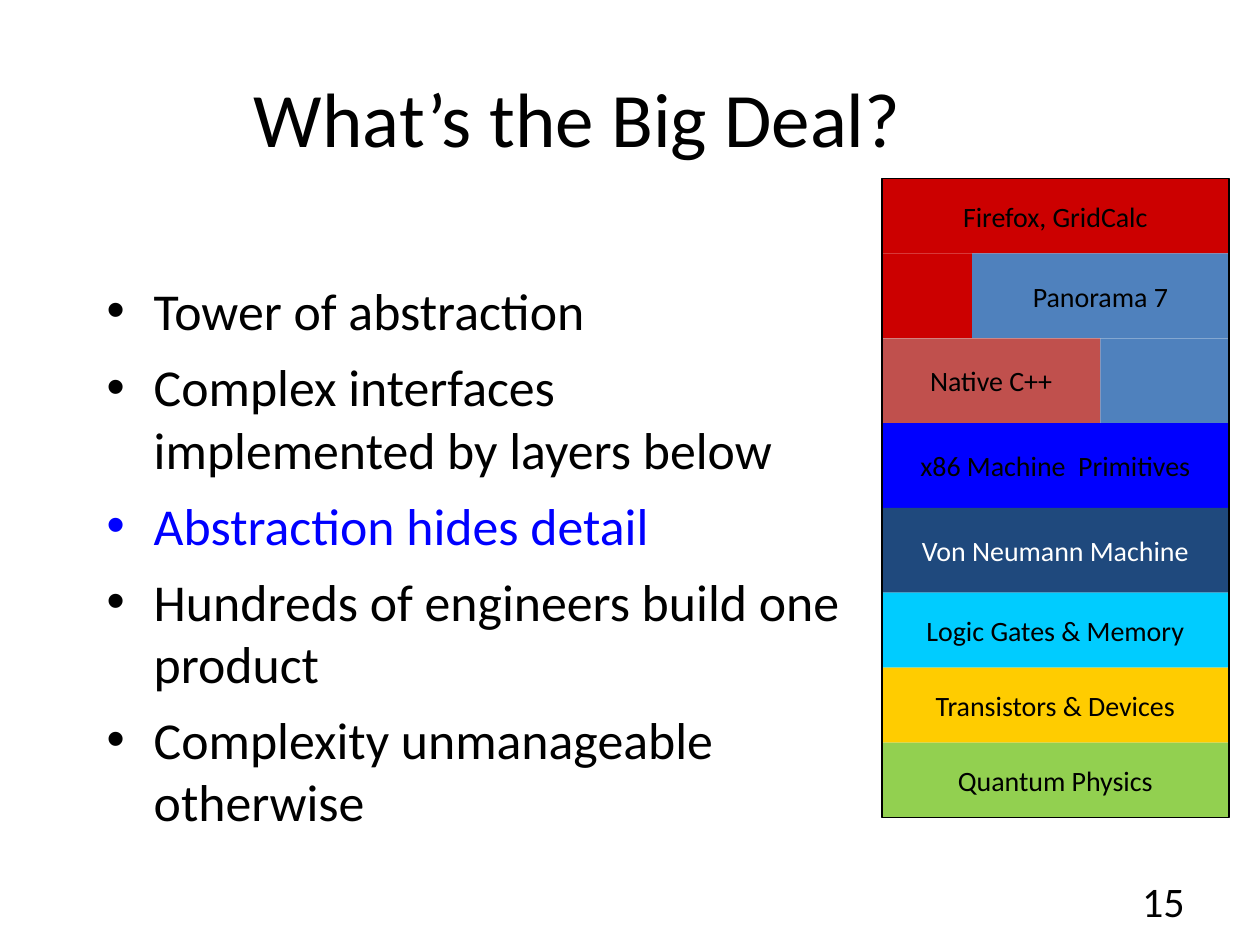
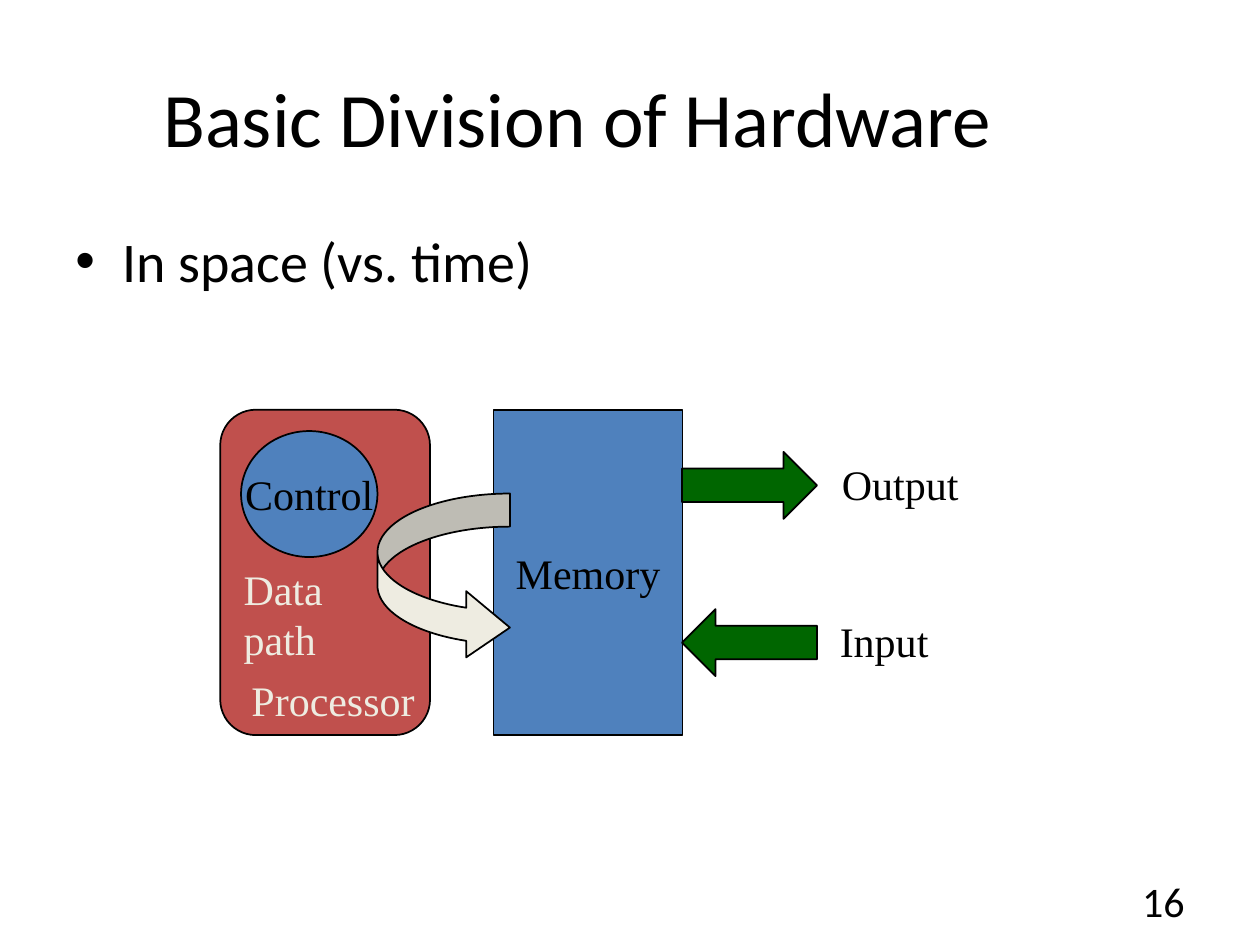
from lxml import etree
from pptx import Presentation
from pptx.dml.color import RGBColor
from pptx.enum.shapes import MSO_SHAPE
from pptx.enum.text import MSO_ANCHOR, PP_ALIGN
from pptx.oxml.ns import qn
from pptx.util import Cm, Pt

RECT = MSO_SHAPE.RECTANGLE
ROUNDED = MSO_SHAPE.ROUNDED_RECTANGLE
OVAL = MSO_SHAPE.OVAL
RIGHT_ARROW = MSO_SHAPE.RIGHT_ARROW
LEFT_ARROW = MSO_SHAPE.LEFT_ARROW
CURVED_ARROW = MSO_SHAPE.CURVED_RIGHT_ARROW
MIDDLE, TOP = MSO_ANCHOR.MIDDLE, MSO_ANCHOR.TOP
LEFT, CENTER, RIGHT = PP_ALIGN.LEFT, PP_ALIGN.CENTER, PP_ALIGN.RIGHT

SANS, SERIF = "Calibri", "Times New Roman"
BLACK, WHITE, CREAM = "000000", "FFFFFF", "EEECE1"
BLUE, STEEL, NAVY = "0000FF", "4F81BD", "1F497D"
RED, BRICK, GREEN = "CC0000", "C0504D", "006600"

TITLE_BOX = (1.27, 0.76, 20.75, 3.18)
NUMBER_BOX = (21.16, 17.65, 2.97, 1.02)

TOWER = [
    (1.51, [(1, "Firefox, GridCalc", RED, BLACK)]),
    (1.71, [(0.26, "", RED, BLACK), (0.74, "Panorama 7", STEEL, BLACK)]),
    (1.71, [(0.63, "Native C++", BRICK, BLACK), (0.37, "", STEEL, BLACK)]),
    (1.71, [(1, "x86 Machine  Primitives", BLUE, BLACK)]),
    (1.71, [(1, "Von Neumann Machine", NAVY, WHITE)]),
    (1.51, [(1, "Logic Gates & Memory", "00CCFF", BLACK)]),
    (1.51, [(1, "Transistors & Devices", "FFCC00", BLACK)]),
    (1.51, [(1, "Quantum Physics", "92D050", BLACK)]),
]


def rgb(value):
    return RGBColor.from_string(value)


def lengths(box):
    return [Cm(value) for value in box]


def write(sp, text, size, font=SANS, color=BLACK, align=LEFT, anchor=TOP, wrap=False):
    tf = sp.text_frame
    tf.text = text
    tf.word_wrap = wrap
    tf.vertical_anchor = anchor
    for p in tf.paragraphs:
        p.alignment = align
        for r in p.runs:
            r.font.size = Pt(size)
            r.font.name = font
            r.font.color.rgb = rgb(color)


def add_label(s, box, text, size, **style):
    sp = s.shapes.add_textbox(*lengths(box))
    write(sp, text, size, **style)
    return sp


def add_block(s, kind, box, fill=None, line=None):
    sp = s.shapes.add_shape(kind, *lengths(box))
    sp.shadow.inherit = False
    if fill:
        sp.fill.solid()
        sp.fill.fore_color.rgb = rgb(fill)
    else:
        sp.fill.background()
    if line:
        sp.line.color.rgb = rgb(line)
        sp.line.width = Pt(1)
    else:
        sp.line.fill.background()
    return sp


def add_bullets(s, box, items, size):
    text = "\n".join(item for item, color in items)
    sp = add_label(s, box, text, size, wrap=True)
    for i, (p, (item, color)) in enumerate(zip(sp.text_frame.paragraphs, items)):
        pPr = p._p.get_or_add_pPr()
        pPr.set("marL", str(Cm(0.95)))
        pPr.set("indent", str(-Cm(0.95)))
        etree.SubElement(pPr, qn("a:buFont")).set("typeface", "Arial")
        etree.SubElement(pPr, qn("a:buChar")).set("char", "•")
        if i:
            p.space_before = Pt(8)
        p.runs[0].font.color.rgb = rgb(color)


def add_titled_slide(prs, title, number):
    s = prs.slides.add_slide(prs.slide_layouts[5])
    sp = s.shapes.title
    sp.left, sp.top, sp.width, sp.height = lengths(TITLE_BOX)
    write(sp, title, 44, align=CENTER, anchor=MIDDLE, wrap=True)
    add_label(s, NUMBER_BOX, number, 24, align=RIGHT, anchor=MIDDLE, wrap=True)
    return s


def add_tower(s, left, top, width):
    y = top
    for height, layers in TOWER:
        x = left
        for share, text, fill, color in layers:
            sp = add_block(s, RECT, (x, y, width * share, height), fill)
            if text:
                write(sp, text, 16, color=color, align=CENTER, anchor=MIDDLE)
            x += width * share
        y += height
    add_block(s, RECT, (left, top, width, y - top), line=BLACK)


def add_hardware(s, left, top):
    def place(x, y, w, h):
        return left + x, top + y, w, h

    centered = {"font": SERIF, "align": CENTER, "anchor": MIDDLE}
    processor = add_block(s, ROUNDED, place(0, 0, 4.23, 6.56), BRICK, BLACK)
    processor.adjustments[0] = 0.17
    control = add_block(s, OVAL, place(0.42, 0.43, 2.75, 2.54), STEEL, BLACK)
    write(control, "Control", 24, **centered)
    add_label(s, place(0.38, 5.21, 4.1, 1.27), "Processor", 24, font=SERIF, color=CREAM)
    add_label(s, place(0.22, 2.97, 2.3, 2.29), "Data\npath", 24, font=SERIF, color=CREAM)
    memory = add_block(s, RECT, place(5.51, 0, 3.81, 6.56), STEEL, BLACK)
    write(memory, "Memory", 24, **centered)
    data_flow = add_block(s, CURVED_ARROW, place(3.17, 1.69, 2.67, 3.37), CREAM, BLACK)
    data_flow.adjustments[2] = 0.33
    for kind, y, text, x, w in (
        (RIGHT_ARROW, 0.85, "Output", 12.28, 3.2),
        (LEFT_ARROW, 4.02, "Input", 12.24, 2.6),
    ):
        add_block(s, kind, place(9.31, y, 2.72, 1.35), GREEN, BLACK)
        add_label(s, place(x, y, w, 1.27), text, 24, font=SERIF)


def build_abstraction_slide(prs):
    s = add_titled_slide(prs, "What’s the Big Deal?", "15")
    add_bullets(s, (1.9, 5.5, 15.47, 11.43), [
        ("Tower of abstraction", BLACK),
        ("Complex interfaces implemented by layers below", BLACK),
        ("Abstraction hides detail", BLUE),
        ("Hundreds of engineers build one product", BLACK),
        ("Complexity unmanageable otherwise", BLACK),
    ], 29.6)
    add_tower(s, 17.78, 3.6, 6.99)


def build_hardware_slide(prs):
    s = add_titled_slide(prs, "Basic Division of Hardware", "16")
    add_bullets(s, (1.27, 4.45, 22.86, 12.57), [("In space (vs. time)", BLACK)], 32)
    add_hardware(s, 4.44, 8.26)


def main():
    prs = Presentation()
    prs.slide_width, prs.slide_height = Cm(25.4), Cm(19.05)
    build_abstraction_slide(prs)
    build_hardware_slide(prs)
    prs.save("out.pptx")


if __name__ == "__main__":
    main()
